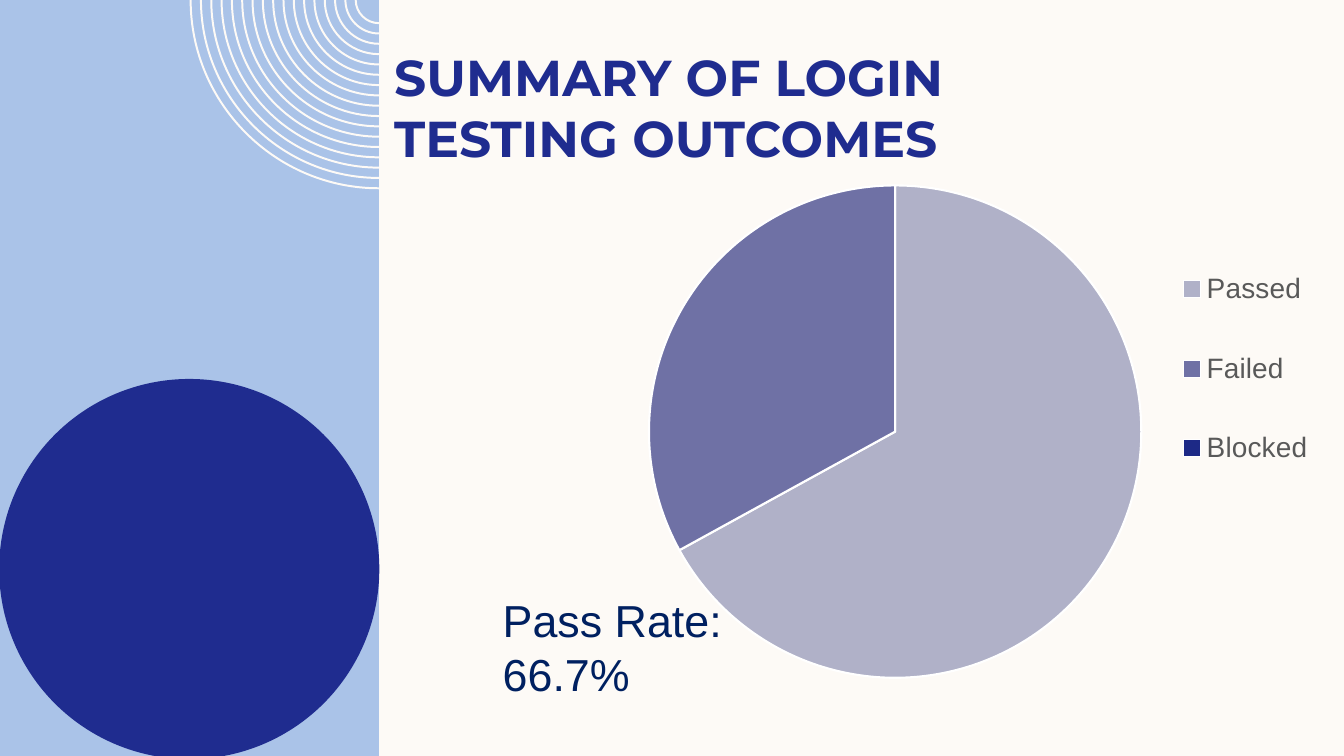
from lxml.etree import SubElement
from pptx import Presentation
from pptx.chart.data import CategoryChartData
from pptx.dml.color import RGBColor
from pptx.enum.chart import XL_CHART_TYPE, XL_LEGEND_POSITION
from pptx.enum.shapes import MSO_SHAPE
from pptx.enum.text import MSO_ANCHOR, MSO_AUTO_SIZE, PP_ALIGN
from pptx.oxml.ns import qn
from pptx.util import Cm, Pt

COLORS = {
    "cream": "FDFAF6",
    "sky": "AAC3E8",
    "royal": "1F2C8F",
    "navy": "002060",
    "legend": "595959",
    "white": "FFFFFF",
}
OUTCOMES = {  # name: (percent, slice colour)
    "Passed": (67, "B0B1C8"),
    "Failed": (33, "6F71A5"),
    "Blocked": (0, "1D2986"),
}
PANEL_W = 9.55  # cm
ARC = 0.55  # Bezier handle length of a quarter circle


def rgb(value):
    return RGBColor.from_string(value)


def paint(sp, color):
    sp.shadow.inherit = False
    sp.fill.solid()
    sp.fill.fore_color.rgb = rgb(COLORS[color])
    sp.line.fill.background()


def add_block(s, preset, box, color):
    sp = s.shapes.add_shape(preset, *map(Cm, box))
    paint(sp, color)


def bend(segment, start, leaves_down):
    """Turn a straight segment into a quarter arc."""
    end = segment[0]
    x0, y0 = int(start.get("x")), int(start.get("y"))
    x1, y1 = int(end.get("x")), int(end.get("y"))
    dx, dy = ARC * (x1 - x0), ARC * (y1 - y0)
    if leaves_down:
        handles = (x0, y0 + dy), (x1 - dx, y1)
    else:
        handles = (x0 + dx, y0), (x1, y1 - dy)
    segment.tag = qn("a:cubicBezTo")
    for i, (x, y) in enumerate(handles):
        pt = SubElement(segment, qn("a:pt"))
        pt.set("x", str(round(x)))
        pt.set("y", str(round(y)))
        segment.insert(i, pt)


def add_rings(s, count=17, inner=0.61, step=0.26, thickness=0.05):
    fb = None
    for i in range(count):
        r = inner + i * step
        r_in = r - thickness
        corners = [(PANEL_W - r, 0), (PANEL_W, r), (PANEL_W, r_in), (PANEL_W - r_in, 0)]
        corners = [(Cm(x), Cm(y)) for x, y in corners]
        if fb is None:
            fb = s.shapes.build_freeform(*corners[0])
        else:
            fb.move_to(*corners[0])
        fb.add_line_segments(corners[1:], close=True)
    sp = fb.convert_to_shape()
    paint(sp, "cream")

    # Each ring is move, outer arc, edge, inner arc, close
    steps = list(sp.element.find(f".//{qn('a:path')}"))
    for i in range(0, len(steps), 5):
        move, outer, edge, inner_arc = steps[i:i + 4]
        bend(outer, move[0], leaves_down=True)
        bend(inner_arc, edge[0], leaves_down=False)


def write(sp, text, font, size, color, bold=False):
    tf = sp.text_frame
    tf.word_wrap = True
    tf.text = text
    p = tf.paragraphs[0]
    p.alignment = PP_ALIGN.LEFT
    f = p.runs[0].font
    f.name, f.size, f.bold = font, Pt(size), bold
    f.color.rgb = rgb(COLORS[color])
    return tf


def add_title(s, text):
    sp = s.shapes.title
    sp.left, sp.top, sp.width, sp.height = Cm(9.68), Cm(1.02), Cm(19.56), Cm(3.2)
    tf = write(sp, text, "Montserrat", 36, "royal", bold=True)
    tf.auto_size = MSO_AUTO_SIZE.NONE
    tf.vertical_anchor = MSO_ANCHOR.BOTTOM
    tf.margin_top = tf.margin_bottom = 0


def set_layout(parent, index, x, y, w, h, inner=False):
    """Place a chart part by fractions of the chart's size."""
    for old in parent.findall(qn("c:layout")):
        parent.remove(old)
    layout = SubElement(parent, qn("c:layout"))
    parent.insert(index, layout)
    manual = SubElement(layout, qn("c:manualLayout"))
    values = {"xMode": "edge", "yMode": "edge", "x": x, "y": y, "w": w, "h": h}
    if inner:
        values = {"layoutTarget": "inner", **values}
    for tag, value in values.items():
        SubElement(manual, qn(f"c:{tag}")).set("val", str(value))


def add_outcome_pie(s):
    data = CategoryChartData()
    data.categories = list(OUTCOMES)
    data.add_series("Series 1", [value for value, _ in OUTCOMES.values()])
    box = map(Cm, (11.79, 4.24, 21.54, 14.43))
    chart = s.shapes.add_chart(XL_CHART_TYPE.PIE, *box, data).chart
    chart.has_title = False
    chart.font.name, chart.font.size = "Arial", Pt(10)

    # Slices
    plot = chart.plots[0]
    plot.vary_by_categories = True
    for i, (_, color) in enumerate(OUTCOMES.values()):
        fmt = plot.series[0].points[i].format
        fmt.fill.solid()
        fmt.fill.fore_color.rgb = rgb(color)
        fmt.line.color.rgb = rgb(COLORS["white"])
        fmt.line.width = Pt(1.5)

    # Legend
    chart.has_legend = True
    legend = chart.legend
    legend.position = XL_LEGEND_POSITION.RIGHT
    legend.include_in_layout = False
    f = legend.font
    f.name, f.size = "Arial", Pt(20)
    f.color.rgb = rgb(COLORS["legend"])

    area = chart.element.find(f".//{qn('c:plotArea')}")
    set_layout(area, 0, 0.21, 0.03, 0.58, 0.86, inner=True)
    key = chart.element.find(f".//{qn('c:legend')}")
    set_layout(key, 1, 0.83, 0.1, 0.16, 0.5)


def main():
    prs = Presentation()
    prs.slide_width, prs.slide_height = Cm(33.87), Cm(19.05)
    s = prs.slides.add_slide(prs.slide_layouts[5])
    s.background.fill.solid()
    s.background.fill.fore_color.rgb = rgb(COLORS["cream"])

    # Left panel
    add_block(s, MSO_SHAPE.RECTANGLE, (0, 0, PANEL_W, 19.05), "sky")
    add_rings(s)
    add_block(s, MSO_SHAPE.OVAL, (-0.02, 9.55, 9.58, 9.58), "royal")

    # Results
    add_title(s, "SUMMARY OF LOGIN TESTING OUTCOMES")
    add_outcome_pie(s)
    rate = s.shapes.add_textbox(Cm(12.42), Cm(14.81), Cm(7.57), Cm(3))
    write(rate, "Pass Rate: 66.7%", "Arial", 32, "navy")

    prs.save("out.pptx")


if __name__ == "__main__":
    main()
